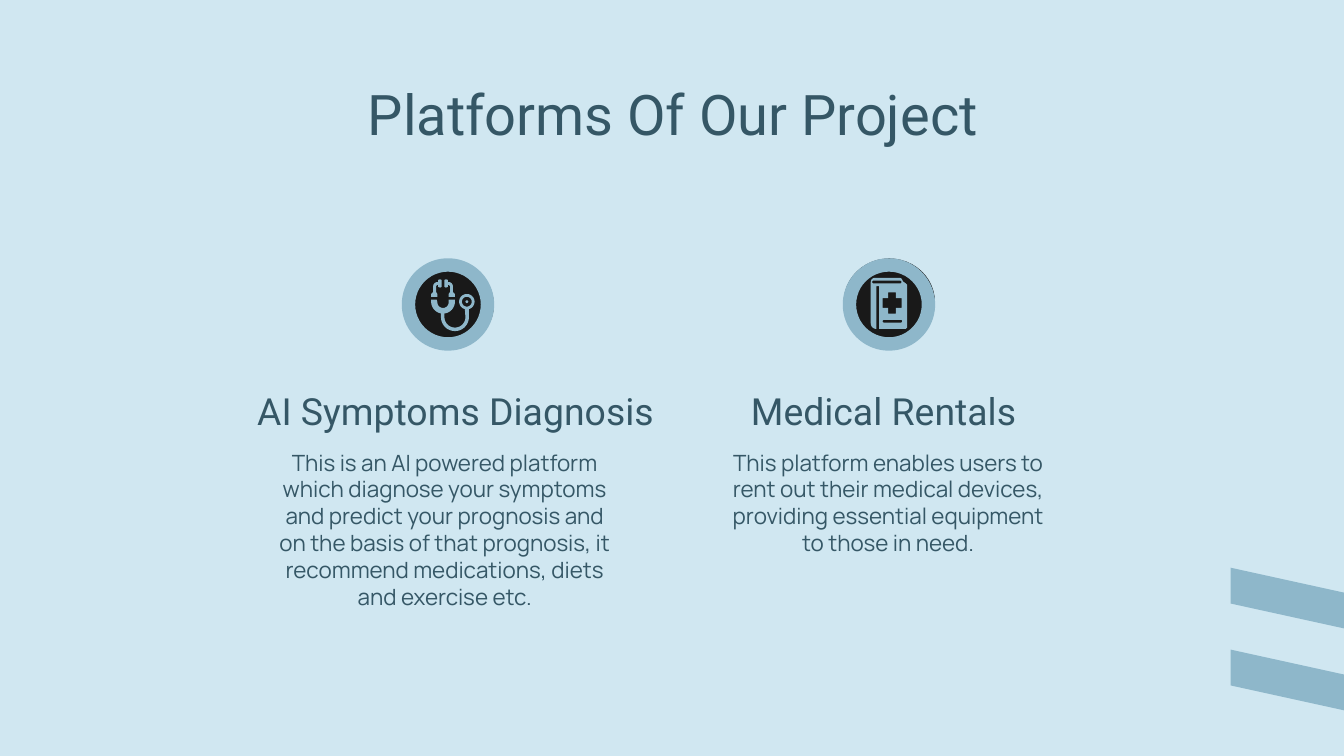
"""Build the slide that presents the two platforms of a medical project."""
import math
from dataclasses import dataclass

from pptx import Presentation
from pptx import util as u
from pptx.dml import color
from pptx.enum import shapes, text

PX = 4762.5
INSET = 19
CUP_X = 633
COLORS = {"sky": "D0E7F1", "steel": "8EB7CA", "ink": "191919", "edge": "121212", "slate": "355766"}
TITLE_FORMAT = {"name": "Roboto", "size": u.Pt(30)}
HEADING_FORMAT = {"name": "Roboto", "size": u.Pt(20)}
BODY_FORMAT = {"name": "Manrope", "size": u.Pt(12)}

Point = tuple[float, float]
Contour = list[Point]


@dataclass(frozen=True)
class Box:
    left: int
    top: int
    width: int
    height: int

    def emu(self) -> list[u.Emu]:
        return [px(v) for v in (self.left, self.top, self.width, self.height)]


@dataclass(frozen=True)
class Platform:
    heading: str
    body: str
    heading_box: Box
    body_box: Box
    disc: Box
    ring: Box
    icon: list[list[Contour]]


def px(value: float) -> u.Emu:
    return u.Emu(round(value * PX))


def rgb(name: str) -> color.RGBColor:
    return color.RGBColor.from_string(COLORS[name])


def arc(cx: int, cy: int, radius: int, start: int, end: int) -> Contour:
    steps = max(4, abs(end - start) // 10)
    angles = [math.radians(start + (end - start) * i / steps) for i in range(steps + 1)]
    return [(cx + radius * math.cos(a), cy + radius * math.sin(a)) for a in angles]


def pill(left: int, top: int, right: int, bottom: int) -> Contour:
    radius, middle = (bottom - top) // 2, (top + bottom) // 2
    return arc(left + radius, middle, radius, 90, 270) + arc(right - radius, middle, radius, -90, 90)


def paint(shape, fill: str, edge: str | None = None) -> None:
    shape.shadow.inherit = False
    shape.fill.solid()
    shape.fill.fore_color.rgb = rgb(fill)
    if edge:
        shape.line.color.rgb = rgb(edge)
        shape.line.width = u.Pt(2)
    else:
        shape.line.fill.background()


def add_preset(slide, kind, box: Box, fill: str, edge: str | None = None, adjust: float | None = None):
    shape = slide.shapes.add_shape(kind, *box.emu())
    if adjust is not None:
        shape.adjustments[0] = adjust
    paint(shape, fill, edge)
    return shape


def add_outline(slide, contours: list[Contour]) -> None:
    scaled = [[(px(x), px(y)) for x, y in contour] for contour in contours]
    builder = slide.shapes.build_freeform(*scaled[0][0], scale=1.0)
    builder.add_line_segments(scaled[0][1:], close=True)
    for hole in scaled[1:]:
        builder.move_to(*hole[0])
        builder.add_line_segments(hole[1:], close=True)
    paint(builder.convert_to_shape(), "steel")


def add_text(slide, words: str, box: Box, font_format: dict, anchor=text.MSO_ANCHOR.TOP) -> None:
    frame = slide.shapes.add_textbox(*box.emu()).text_frame
    frame_format = {"word_wrap": True, "vertical_anchor": anchor}
    frame_format |= {f"margin_{side}": px(INSET) for side in ("left", "top", "right", "bottom")}
    for key, value in frame_format.items():
        setattr(frame, key, value)
    paragraph = frame.paragraphs[0]
    paragraph.alignment = text.PP_ALIGN.CENTER
    run = paragraph.add_run()
    run.text = words
    for key, value in font_format.items():
        setattr(run.font, key, value)
    run.font.color.rgb = rgb("slate")


def stethoscope() -> list[list[Contour]]:
    right_ear = [
        (635, 400), (637, 399), (640, 400), (640, 403), *arc(641, 409, 6, -90, 0),
        (647, 417), (650, 420), (650, 424), (641, 424), (641, 420), (643, 417),
        (643, 409), (641, 407), (640, 407), (640, 410), (637, 411), (635, 410),
    ]
    left_ear = [(2 * CUP_X - x, y) for x, y in right_ear]
    tube = [
        (616, 428), *arc(CUP_X, 431, 17, 180, 100), *arc(650, 453, 20, 180, 0),
        *arc(667, 431, 11, 75, -255), *arc(650, 453, 15, 0, 180),
        *arc(CUP_X, 431, 17, 83, 0), (650, 428), (641, 428),
        *arc(CUP_X, 432, 8, 0, 180), (624, 428),
    ]
    return [[arc(667, 431, 2, 0, 360)], [right_ear], [left_ear], [tube, arc(667, 431, 7, 0, 360)]]


def medical_book() -> list[list[Contour]]:
    cover = [
        *arc(1250, 403, 6, 270, 180), *arc(1252, 462, 8, 180, 90),
        (1252, 409), (1256, 409), (1256, 470), (1294, 470), (1296, 468),
        (1296, 407), (1294, 405), (1290, 402), (1288, 398), (1286, 397),
    ]
    cross = [
        (1269, 418), (1280, 418), (1280, 426), (1288, 426), (1288, 440), (1280, 440),
        (1280, 448), (1269, 448), (1269, 440), (1261, 440), (1261, 426), (1269, 426),
    ]
    return [[cover, pill(1246, 401, 1288, 405), cross, pill(1261, 457, 1289, 461)]]


def main() -> None:
    platforms = [
        Platform(
            "AI Symptoms Diagnosis",
            "This is an AI powered platform which diagnose your symptoms and predict your prognosis "
            "and on the basis of that prognosis, it recommend medications, diets and exercise etc.",
            Box(336, 541, 630, 96), Box(380, 622, 511, 213),
            Box(578, 376, 125, 119), Box(574, 369, 132, 132), stethoscope(),
        ),
        Platform(
            "Medical Rentals ",
            "This platform enables users to rent out their medical devices, "
            "providing essential equipment to those in need.",
            Box(1023, 541, 492, 96), Box(1023, 622, 492, 213),
            Box(1208, 372, 125, 119), Box(1204, 369, 132, 132), medical_book(),
        ),
    ]
    deck = Presentation()
    deck.slide_width, deck.slide_height = px(1920), px(1080)
    slide = deck.slides.add_slide(deck.slide_layouts[6])
    slide.background.fill.solid()
    slide.background.fill.fore_color.rgb = rgb("sky")

    for top in (716, 833):
        band = add_preset(slide, shapes.MSO_SHAPE.PARALLELOGRAM, Box(1853, top, 119, 309), "steel", adjust=0.57)
        band.rotation = 270
    add_text(slide, "Platforms Of Our Project", Box(152, 94, 1619, 121), TITLE_FORMAT)
    for platform in platforms:
        add_preset(slide, shapes.MSO_SHAPE.OVAL, platform.disc, "ink", "edge")
        add_text(slide, platform.body, platform.body_box, BODY_FORMAT)
        add_text(slide, platform.heading, platform.heading_box, HEADING_FORMAT, text.MSO_ANCHOR.BOTTOM)
        add_preset(slide, shapes.MSO_SHAPE.DONUT, platform.ring, "steel", adjust=0.145)
        for contours in platform.icon:
            add_outline(slide, contours)
    deck.save("out.pptx")


if __name__ == "__main__":
    main()
